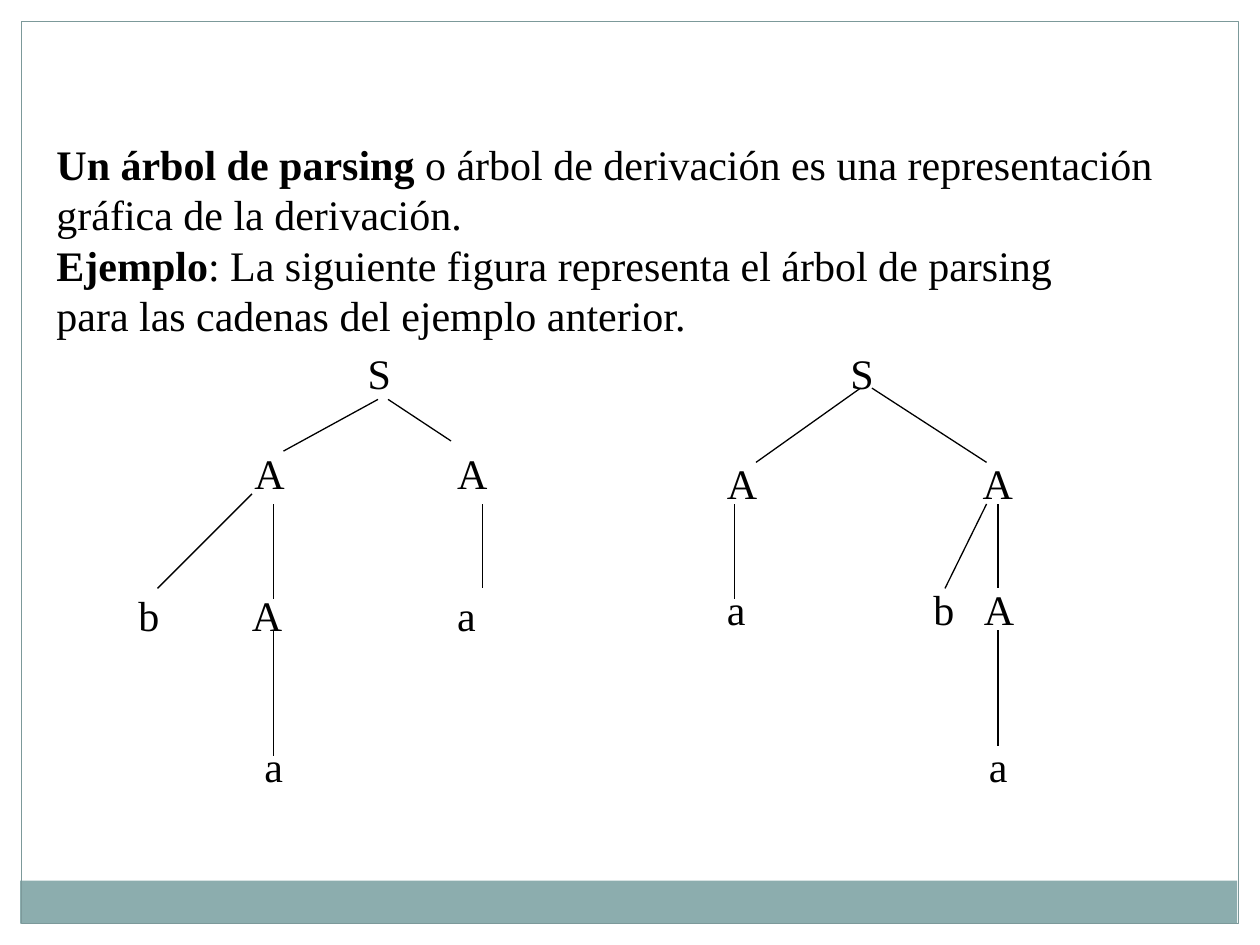
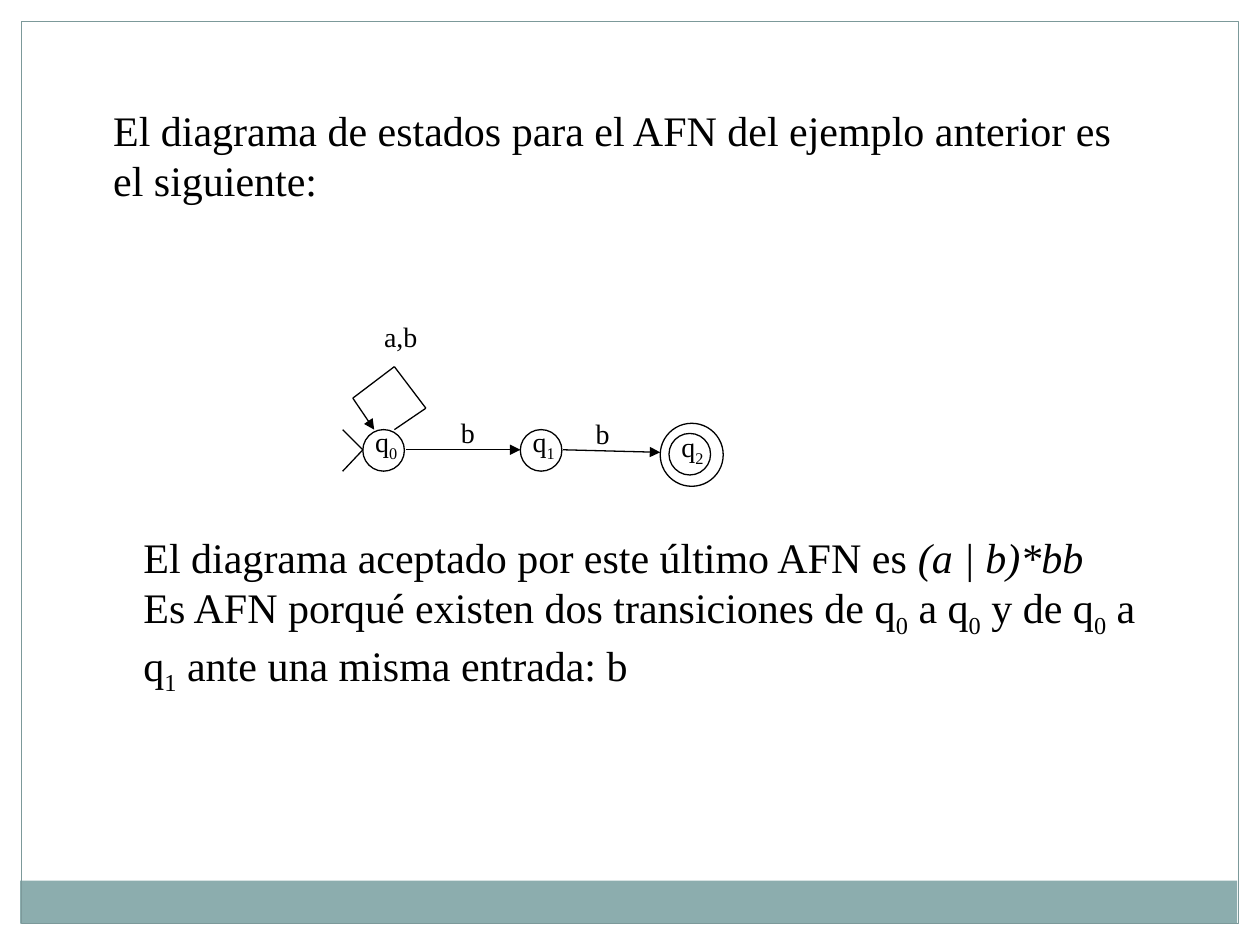
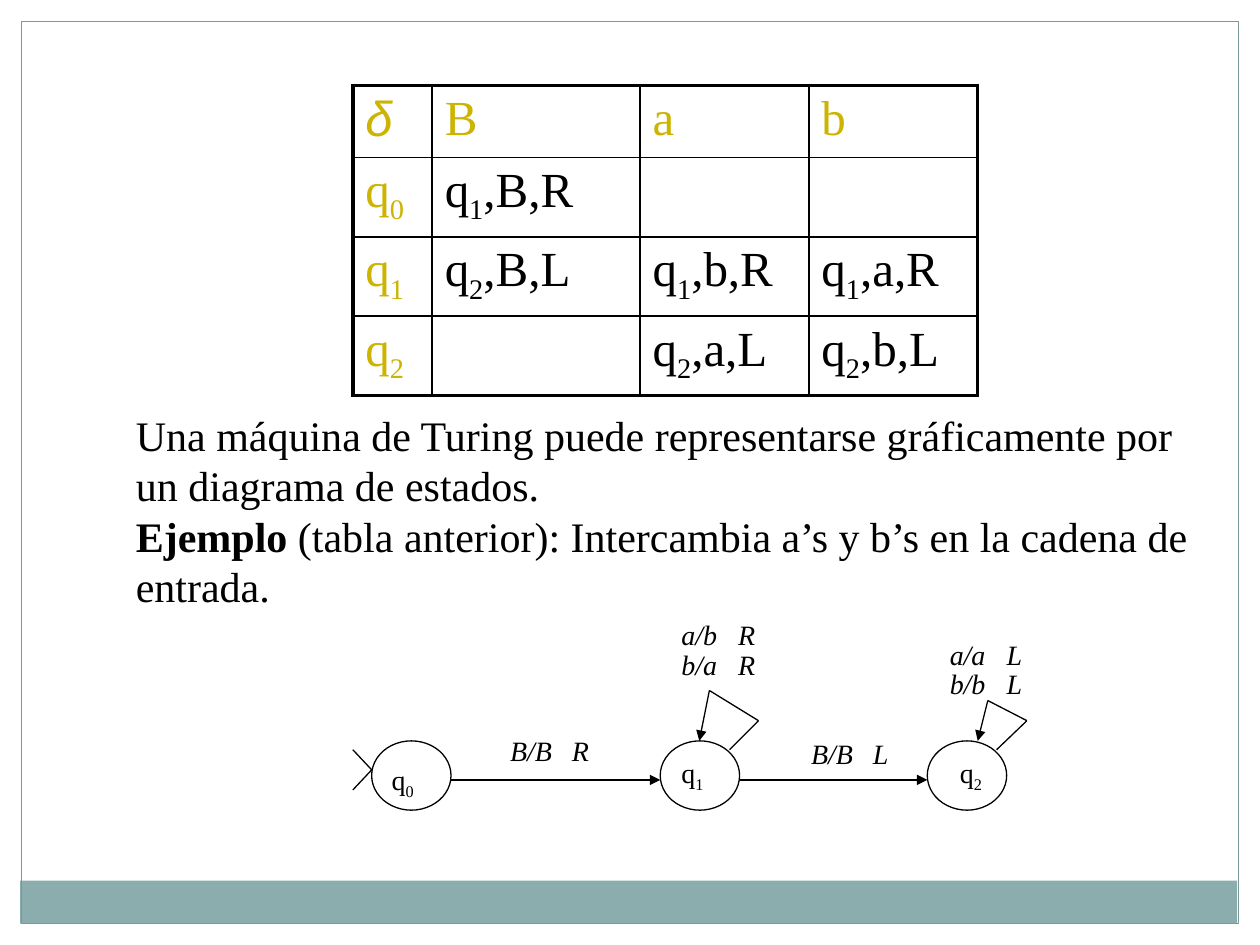
"""Builds three slides on parse trees, a finite automaton and a Turing machine."""
from lxml.etree import SubElement
from pptx import Presentation
from pptx.dml.color import RGBColor
from pptx.enum.shapes import MSO_CONNECTOR, MSO_SHAPE
from pptx.oxml.ns import qn
from pptx.util import Inches, Pt

FONT = "Times New Roman"
BLACK, WHITE, TEAL, EDGE, GOLD = "000000", "FFFFFF", "8CADAE", "7C999A", "CCB400"

BANDS = [
    (0, 0, 10, 0.17, WHITE, None),
    (9.83, 0, 0.17, 7.5, WHITE, None),
    (0, 0, 0.17, 7.5, WHITE, None),
    (0.16, 6.99, 9.66, 0.34, TEAL, None),
    (0.17, 0.17, 9.66, 7.16, None, EDGE),
]

TREE_TEXT = [
    [("b", "Un árbol de parsing"), ("", " o árbol de derivación es una representación")],
    [("", "gráfica de la derivación.")],
    [("b", "Ejemplo"), ("", ": La siguiente figura representa el árbol de parsing")],
    [("", "para las cadenas del ejemplo anterior.")],
]
NODES = [
    ("S", 2.82, 2.71), ("A", 1.92, 3.5), ("A", 3.53, 3.5), ("b", 1, 4.63),
    ("A", 1.9, 4.63), ("a", 3.53, 4.63), ("a", 2, 5.83),
    ("S", 6.65, 2.71), ("A", 5.67, 3.58), ("A", 7.7, 3.58), ("a", 5.67, 4.58),
    ("b", 7.31, 4.58), ("A", 7.71, 4.58), ("a", 7.75, 5.83),
]
BRANCHES = [
    [(3, 3.17), (2.25, 3.58)], [(3.08, 3.17), (3.58, 3.5)], [(2, 3.92), (1.25, 4.67)],
    [(2.17, 4), (2.17, 4.75)], [(3.83, 4), (3.83, 4.67)], [(2.17, 5), (2.17, 6)],
    [(6.83, 3.08), (6, 3.67)], [(6.92, 3.08), (7.83, 3.67)], [(5.83, 4), (5.83, 4.75)],
    [(7.83, 4), (7.5, 4.67)], [(7.92, 4), (7.92, 4.67)], [(7.92, 5), (7.92, 5.92)],
]

NFA_INTRO = [[("", "El diagrama de estados para el AFN del ejemplo anterior es el siguiente:")]]
NFA_NOTE = [
    [("", "El diagrama aceptado por este último AFN es "), ("i", "(a | b)*bb")],
    [("", "Es AFN porqué existen dos transiciones de q_0 a q_0 y de q_0 a q_1"
          " ante una misma entrada: b")],
]
NFA = {
    "rings": [(2.88, 3.41, 0.33, 0.33), (4.13, 3.41, 0.33, 0.33),
              (5.31, 3.44, 0.33, 0.33), (5.24, 3.36, 0.5, 0.5)],
    "start": [(2.72, 3.41), (2.88, 3.57), (2.72, 3.74)],
    "moves": [[(3.22, 3.57), (4.13, 3.57)], [(4.47, 3.57), (5.24, 3.59)],
              [(3.13, 3.41), (3.38, 3.24), (3.13, 2.91), (2.8, 3.16), (2.97, 3.41)]],
    "states": [("q_0", 2.88, 3.32), ("q_1", 4.13, 3.32), ("q_2", 5.31, 3.36)],
    "inputs": [("", "a,b", 2.95, 2.49), ("", "b", 3.56, 3.25), ("", "b", 4.63, 3.26)],
}

RULES = [
    ["δ", "B", "a", "b"],
    ["q_0", "q_1,B,R", "", ""],
    ["q_1", "q_2,B,L", "q_1,b,R", "q_1,a,R"],
    ["q_2", "", "q_2,a,L", "q_2,b,L"],
]
COLS, ROWS = [0.63, 1.65, 1.34, 1.34], [0.57, 0.63, 0.63, 0.63]
TURING_TEXT = [
    [("", "Una máquina de Turing puede representarse gráficamente por un diagrama de estados.")],
    [("b", "Ejemplo"),
     ("", " (tabla anterior): Intercambia a’s y b’s en la cadena de entrada.")],
]
TURING = {
    "rings": [(x, 5.88, 0.63, 0.55) for x in (2.95, 5.24, 7.36)],
    "start": [(2.8, 5.95), (2.95, 6.11), (2.8, 6.27)],
    "moves": [[(3.58, 6.19), (5.24, 6.19)], [(5.87, 6.19), (7.36, 6.19)],
              [(5.79, 5.95), (6.02, 5.72), (5.63, 5.48), (5.55, 5.88)],
              [(7.91, 5.95), (8.15, 5.72), (7.84, 5.56), (7.76, 5.88)]],
    "states": [("q_0", 3.01, 6), ("q_1", 5.31, 5.95), ("q_2", 7.52, 5.95)],
    "inputs": [("i", "B/B\tR", 3.95, 5.77), ("i", "B/B\tL", 6.34, 5.8),
               ("i", "a/b\tR", 5.31, 4.85), ("i", "b/a\tR", 5.31, 5.09),
               ("i", "a/a\tL", 7.44, 5.01), ("i", "b/b\tL", 7.44, 5.24)],
}


def color(code):
    return RGBColor.from_string(code)


def add_run(para, text, style, size, ink, low=False):
    run = para.add_run()
    run.text = text
    font = run.font
    font.name, font.size = FONT, Pt(size)
    font.bold, font.italic = style == "b", style == "i"
    font.color.rgb = color(ink)
    if low:
        font._element.set("baseline", "-25000")


def write(para, parts, size, ink=BLACK):
    for style, text in parts:
        head, *rest = text.split("_")
        if head:
            add_run(para, head, style, size, ink)
        for piece in rest:
            add_run(para, piece[0], style, size, ink, True)
            if piece[1:]:
                add_run(para, piece[1:], style, size, ink)


def add_text(slide, paras, x, y, w, h, size=24):
    frame = slide.shapes.add_textbox(*map(Inches, (x, y, w, h))).text_frame
    frame.word_wrap = True
    for i, parts in enumerate(paras):
        para = frame.add_paragraph() if i else frame.paragraphs[0]
        text = parts[0][1]
        if "\t" in text:
            tabs = SubElement(para._p.get_or_add_pPr(), qn("a:tabLst"))
            stop = 0.49 if text.startswith("B") else 0.45
            SubElement(tabs, qn("a:tab"), pos=str(Inches(stop)), algn="l")
        write(para, parts, size)


def add_form(slide, kind, x, y, w, h, fill=None, line=None):
    form = slide.shapes.add_shape(kind, *map(Inches, (x, y, w, h)))
    form.shadow.inherit = False
    if fill:
        form.fill.solid()
        form.fill.fore_color.rgb = color(fill)
    else:
        form.fill.background()
    if line:
        form.line.color.rgb = color(line)
        form.line.width = Pt(0.75)
    else:
        form.line.fill.background()


def add_lines(slide, points, arrow=False):
    for start, end in zip(points, points[1:]):
        link = slide.shapes.add_connector(
            MSO_CONNECTOR.STRAIGHT, *map(Inches, (*start, *end)))
        link.line.color.rgb = color(BLACK)
        link.line.width = Pt(0.75)
        SubElement(link._element.spPr, qn("a:effectLst"))
    if arrow:
        SubElement(link.line._get_or_add_ln(), qn("a:tailEnd"), type="triangle")


def add_graph(slide, graph):
    for ring in graph["rings"]:
        add_form(slide, MSO_SHAPE.OVAL, *ring, line=BLACK)
    add_lines(slide, graph["start"])
    for move in graph["moves"]:
        add_lines(slide, move, True)
    for name, x, y in graph["states"]:
        add_text(slide, [[("", name)]], x, y, 0.5, 0.37, 16)
    for style, text, x, y in graph["inputs"]:
        add_text(slide, [[(style, text)]], x, y, 1, 0.37, 16)


def set_edges(cell, row, col):
    props = cell._tc.get_or_add_tcPr()
    outer = [("L", col == 0), ("R", col == len(COLS) - 1),
             ("T", row == 0), ("B", row == len(ROWS) - 1)]
    for i, (side, thick) in enumerate(outer):
        edge = SubElement(props, qn(f"a:ln{side}"), w=str(Pt(2.25 if thick else 1)))
        fill = SubElement(edge, qn("a:solidFill"))
        SubElement(fill, qn("a:srgbClr"), val=BLACK)
        props.insert(i, edge)


def add_rules(slide):
    box = map(Inches, (2.8, 0.68, sum(COLS), sum(ROWS)))
    table = slide.shapes.add_table(len(ROWS), len(COLS), *box).table
    table.first_row = table.horz_banding = False
    for col, width in zip(table.columns, COLS):
        col.width = Inches(width)
    for r, texts in enumerate(RULES):
        table.rows[r].height = Inches(ROWS[r])
        for c, text in enumerate(texts):
            cell = table.cell(r, c)
            cell.fill.background()
            set_edges(cell, r, c)
            para = cell.text_frame.paragraphs[0]
            ink = BLACK if r and c else GOLD
            write(para, [("" if r or c else "i", text)], 28, ink)
    table.cell(0, 0).text_frame.paragraphs[0].runs[0].font.name = "Arial"


def add_slide(deck):
    slide = deck.slides.add_slide(deck.slide_layouts[6])
    for band in BANDS:
        add_form(slide, MSO_SHAPE.RECTANGLE, *band)
    return slide


def main():
    deck = Presentation()
    deck.slide_width, deck.slide_height = Inches(10), Inches(7.5)

    trees = add_slide(deck)
    add_text(trees, TREE_TEXT, 0.35, 1.05, 9.53, 1.72)
    for name, x, y in NODES:
        add_text(trees, [[("", name)]], x, y, 0.5, 0.5)
    for branch in BRANCHES:
        add_lines(trees, branch)

    states = add_slide(deck)
    add_text(states, NFA_INTRO, 0.8, 0.78, 8.21, 0.9)
    add_graph(states, NFA)
    add_text(states, NFA_NOTE, 1.04, 4.17, 8.21, 1.3)

    turing = add_slide(deck)
    add_rules(turing)
    add_text(turing, TURING_TEXT, 0.98, 3.2, 8.61, 1.7)
    add_graph(turing, TURING)

    deck.save("out.pptx")


if __name__ == "__main__":
    main()
